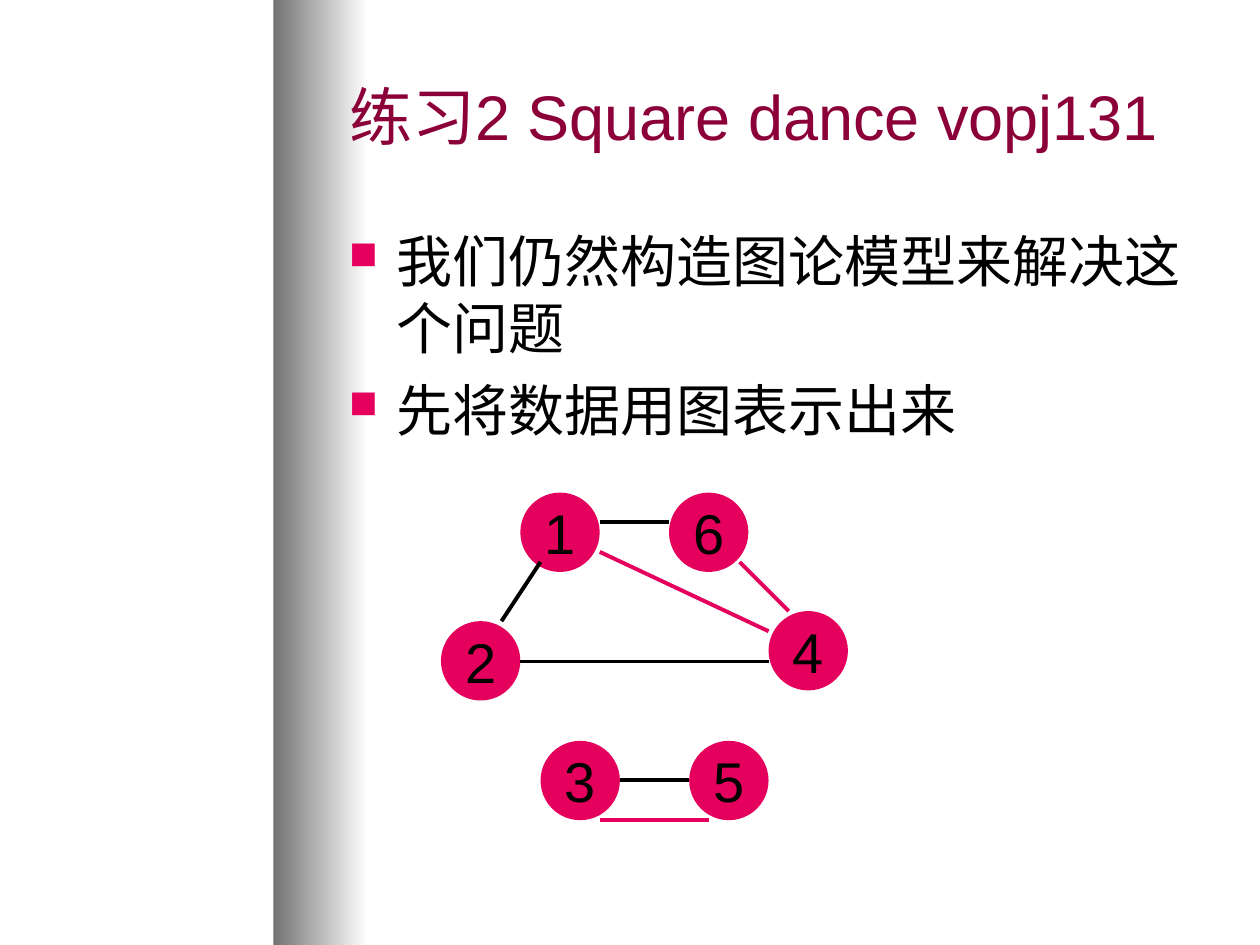
from lxml import etree
from pptx import Presentation
from pptx.dml.color import RGBColor
from pptx.enum.shapes import MSO_CONNECTOR, MSO_SHAPE
from pptx.enum.text import MSO_ANCHOR, MSO_AUTO_SIZE, PP_ALIGN
from pptx.oxml.ns import qn
from pptx.util import Inches, Pt

RECTANGLE, OVAL = MSO_SHAPE.RECTANGLE, MSO_SHAPE.OVAL
STRAIGHT = MSO_CONNECTOR.STRAIGHT
MIDDLE = MSO_ANCHOR.MIDDLE
NO_AUTOFIT = MSO_AUTO_SIZE.NONE
LEFT, CENTER = PP_ALIGN.LEFT, PP_ALIGN.CENTER

COLORS = {
    "title": "8C0039",
    "accent": "E4005C",
    "text": "000000",
    "band_dark": "737373",
    "band_light": "FFFFFF",
}
NODE_SIZE = 0.63


def rgb(name):
    return RGBColor.from_string(COLORS[name])


def format_paragraph(paragraph, size, color, alignment=LEFT, space_before=0):
    paragraph.alignment = alignment
    paragraph.space_before = Pt(space_before)
    paragraph.font.size = Pt(size)
    paragraph.font.name = "Arial"
    paragraph.font.color.rgb = rgb(color)


presentation = Presentation()
presentation.slide_width = Inches(10)
presentation.slide_height = Inches(7.5)
slide = presentation.slides.add_slide(presentation.slide_layouts[5])
shapes = slide.shapes

band = shapes.add_shape(RECTANGLE, Inches(2.17), 0, Inches(0.75), Inches(7.5))
band.shadow.inherit = False
band.line.fill.background()
band.fill.gradient()
band.fill.gradient_angle = 0
for position, color in enumerate(("band_dark", "band_light")):
    stop = band.fill.gradient_stops[position]
    stop.color.rgb = rgb(color)
    stop.position = position
shapes._spTree.insert(2, band._element)

title = shapes.title
title.left, title.top = Inches(2.67), Inches(0.25)
title.width, title.height = Inches(7), Inches(1.33)
title.text_frame.text = "练习2 Square dance vopj131"
title.text_frame.auto_size = NO_AUTOFIT
title.text_frame.vertical_anchor = MIDDLE
format_paragraph(title.text_frame.paragraphs[0], 36, "title")

body = shapes.add_textbox(Inches(2.67), Inches(1.75), Inches(7), Inches(2.16))
body.text_frame.word_wrap = True
body.text_frame.text = "我们仍然构造图论模型来解决这个问题\n先将数据用图表示出来"
for paragraph in body.text_frame.paragraphs:
    format_paragraph(paragraph, 32, "text", space_before=8)
    properties = paragraph._p.get_or_add_pPr()
    properties.set("marL", str(Inches(0.38)))
    properties.set("indent", str(Inches(-0.38)))
    bullet_color = etree.Element(qn("a:buClr"))
    etree.SubElement(bullet_color, qn("a:srgbClr"), val=COLORS["accent"])
    bullet_size = etree.Element(qn("a:buSzPct"), val="70000")
    bullet = etree.Element(qn("a:buChar"), char="■")
    default_font = properties.find(qn("a:defRPr"))
    for element in (bullet_color, bullet_size, bullet):
        default_font.addprevious(element)

nodes = {
    "1": (4.13, 3.91),
    "2": (3.5, 4.93),
    "3": (4.29, 5.88),
    "4": (6.1, 4.85),
    "5": (5.47, 5.88),
    "6": (5.31, 3.91),
}
for label, (left, top) in nodes.items():
    node = shapes.add_shape(
        OVAL, Inches(left), Inches(top), Inches(NODE_SIZE), Inches(NODE_SIZE)
    )
    node.shadow.inherit = False
    node.fill.solid()
    node.fill.fore_color.rgb = rgb("accent")
    node.line.fill.background()
    node.text_frame.text = label
    node.text_frame.word_wrap = False
    node.text_frame.vertical_anchor = MIDDLE
    format_paragraph(node.text_frame.paragraphs[0], 32, "text", CENTER, 8)

edges = [
    (4.29, 4.46, 3.98, 4.93, "text"),
    (4.92, 6.19, 5.47, 6.19, "text"),
    (4.13, 5.25, 6.1, 5.25, "text"),
    (4.76, 4.38, 6.1, 5.01, "accent"),
    (4.76, 6.51, 5.63, 6.51, "accent"),
    (4.76, 4.14, 5.31, 4.14, "text"),
    (5.87, 4.46, 6.26, 4.85, "accent"),
]
for *ends, color in edges:
    edge = shapes.add_connector(STRAIGHT, *(Inches(value) for value in ends))
    edge.line.color.rgb = rgb(color)
    edge.line.width = Pt(2.25)
    etree.SubElement(edge._element.spPr, qn("a:effectLst"))

presentation.save("out.pptx")
